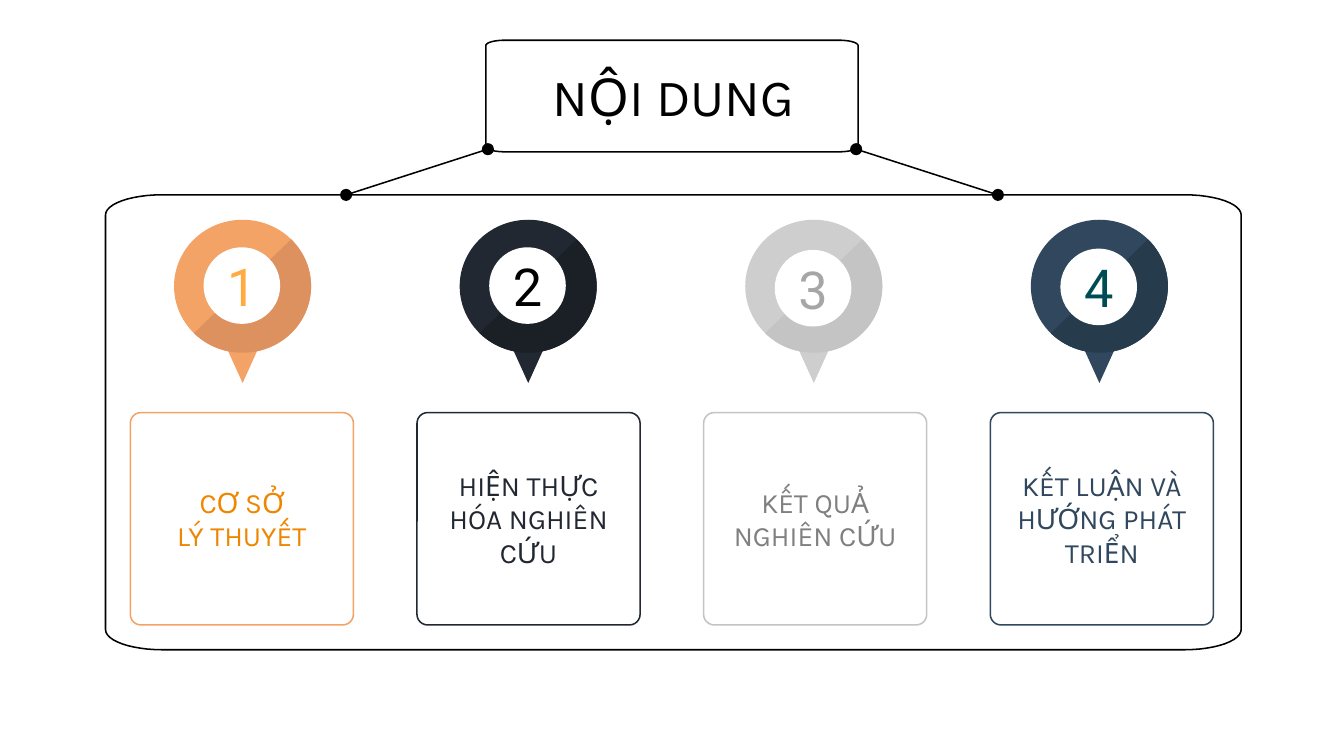
from dataclasses import dataclass
from math import cos, pi, sin

from lxml.etree import SubElement
from pptx import Presentation
from pptx.dml.color import RGBColor
from pptx.enum.shapes import MSO_CONNECTOR as Link, MSO_SHAPE as Shape
from pptx.enum.text import MSO_ANCHOR as Anchor, MSO_AUTO_SIZE as AutoSize, PP_ALIGN as Align
from pptx.oxml.ns import qn
from pptx.util import Inches, Pt

SLIDE_WIDTH = 10
SLIDE_HEIGHT = SLIDE_WIDTH * 9 / 16
GRID_COLUMNS = 100
CELL = Inches(SLIDE_WIDTH) / GRID_COLUMNS
CENTER = GRID_COLUMNS / 2

CARD_LEFT, CARD_TOP, CARD_WIDTH, CARD_HEIGHT = 9.7, 30.7, 16.6, 15.8
CARD_STEP = 21.33
PIN_LEFT, PIN_STEP = 18.05, 21.25
RING_TOP, RING_WIDTH, RING_HEIGHT = 16.35, 10.2, 9.9
TAIL_TOP, TAIL_WIDTH, TAIL_HEIGHT = 25.3, 2.9, 3.2
DISC_TOP, DISC_SIZE = 18.4, 5.7
DOT_SIZE = 0.9


@dataclass(frozen=True)
class Theme:
    heading_font: str = "Karla"
    number_font: str = "Roboto"
    heading_size: int = 28
    card_size: int = 15
    line_width: float = 0.81
    ink: str = "000000"
    paper: str = "FFFFFF"


@dataclass(frozen=True)
class Chapter:
    label: str
    pin: str
    shade: str
    border: str
    number: str
    text: str
    disc_drop: float = 0


THEME = Theme()
CHAPTERS = [
    Chapter("CƠ SỞ\nLÝ THUYẾT", "F2A365", "DD915E", "F2A365", "FFAB40", "EF8600"),
    Chapter("HIỆN THỰC HÓA NGHIÊN CỨU", "222831", "1B1F26", "222831", "000000", "222831"),
    Chapter("KẾT QUẢ NGHIÊN CỨU", "CECECE", "C4C4C4", "C4C4C4", "A6A6A6", "808080", 0.2),
    Chapter("KẾT LUẬN VÀ HƯỚNG PHÁT TRIỂN", "30475E", "263C4C", "30475E", "004C54", "30475E", 0.1),
]


def cells(*counts):
    return [round(count * CELL) for count in counts]


def paint(shape, fill=None, line=None):
    shape.shadow.inherit = False
    if fill:
        shape.fill.solid()
        shape.fill.fore_color.rgb = RGBColor.from_string(fill)
    else:
        shape.fill.background()
    if line:
        shape.line.color.rgb = RGBColor.from_string(line)
        shape.line.width = Pt(THEME.line_width)
    else:
        shape.line.fill.background()


def write(shape, words, font, size, color, inset=1.0, wrap=True):
    frame = shape.text_frame
    frame.text = words
    frame.word_wrap = wrap
    frame.auto_size = AutoSize.NONE
    frame.vertical_anchor = Anchor.MIDDLE
    margin, = cells(inset)
    frame.margin_left = frame.margin_right = margin
    frame.margin_top = frame.margin_bottom = margin
    for paragraph in frame.paragraphs:
        paragraph.alignment = Align.CENTER
        for run in paragraph.runs:
            run.font.name = font
            run.font.size = Pt(size)
            run.font.color.rgb = RGBColor.from_string(color)


def add_filled(shapes, kind, center, top, width, height, color):
    shape = shapes.add_shape(kind, *cells(center - width / 2, top, width, height))
    paint(shape, fill=color)
    return shape


def add_frame(shapes, left, top, width, height, radius_x, radius_y, steps=12):
    right, bottom = left + width, top + height
    corners = [
        (right - radius_x, bottom - radius_y),
        (left + radius_x, bottom - radius_y),
        (left + radius_x, top + radius_y),
        (right - radius_x, top + radius_y),
    ]
    points = []
    for quarter, (x, y) in enumerate(corners):
        for step in range(steps + 1):
            angle = (quarter + step / steps) * pi / 2
            points.append(cells(x + radius_x * cos(angle), y + radius_y * sin(angle)))
    builder = shapes.build_freeform(*points[0])
    builder.add_line_segments(points[1:], close=True)
    paint(builder.convert_to_shape(), line=THEME.ink)


def add_dotted_link(shapes, start, end):
    link = shapes.add_connector(Link.STRAIGHT, *cells(*start, *end))
    link.line.color.rgb = RGBColor.from_string(THEME.ink)
    link.line.width = Pt(THEME.line_width)
    SubElement(link._element.spPr, qn("a:effectLst"))
    for x, y in (start, end):
        add_filled(shapes, Shape.OVAL, x, y - DOT_SIZE / 2, DOT_SIZE, DOT_SIZE, THEME.ink)


def add_card(shapes, column, chapter):
    left = CARD_LEFT + column * CARD_STEP
    card = shapes.add_shape(
        Shape.ROUNDED_RECTANGLE, *cells(left, CARD_TOP, CARD_WIDTH, CARD_HEIGHT))
    card.adjustments[0] = 0.05
    paint(card, line=chapter.border)
    write(card, chapter.label, THEME.heading_font, THEME.card_size, chapter.text)


def add_pin(shapes, column, chapter):
    center = PIN_LEFT + column * PIN_STEP
    tail = add_filled(shapes, Shape.ISOSCELES_TRIANGLE, center, TAIL_TOP,
                      TAIL_WIDTH, TAIL_HEIGHT, chapter.pin)
    tail.rotation = 180
    ring = (center, RING_TOP, RING_WIDTH, RING_HEIGHT)
    add_filled(shapes, Shape.OVAL, *ring, chapter.pin)
    shade = add_filled(shapes, Shape.CHORD, *ring, chapter.shade)
    for index, degrees in enumerate((316, 136)):
        shade.adjustments[index] = degrees * 0.6
    disc = add_filled(shapes, Shape.OVAL, center - 0.05, DISC_TOP + chapter.disc_drop,
                      DISC_SIZE, DISC_SIZE, THEME.paper)
    write(disc, str(column + 1), THEME.number_font, THEME.heading_size,
          chapter.number, inset=0, wrap=False)


def add_heading(shapes):
    title = shapes.title
    title.left, title.top, title.width, title.height = cells(7.85, 4.5, 84.5, 5.3)
    write(title, "NỘI DUNG", THEME.heading_font, THEME.heading_size, THEME.ink)


def main():
    deck = Presentation()
    deck.slide_width, deck.slide_height = Inches(SLIDE_WIDTH), Inches(SLIDE_HEIGHT)
    shapes = deck.slides.add_slide(deck.slide_layouts[5]).shapes
    add_heading(shapes)
    for column, chapter in enumerate(CHAPTERS):
        add_card(shapes, column, chapter)
        add_pin(shapes, column, chapter)
    add_frame(shapes, 36.15, 3, 27.7, 8.3, 1.4, 0.4)
    add_frame(shapes, 7.85, 14.5, 84.5, 33.85, 4.2, 1.5)
    for side in (-1, 1):
        add_dotted_link(shapes, (CENTER + side * 13.7, 11.1), (CENTER + side * 24.25, 14.5))
    deck.save("out.pptx")


if __name__ == "__main__":
    main()
